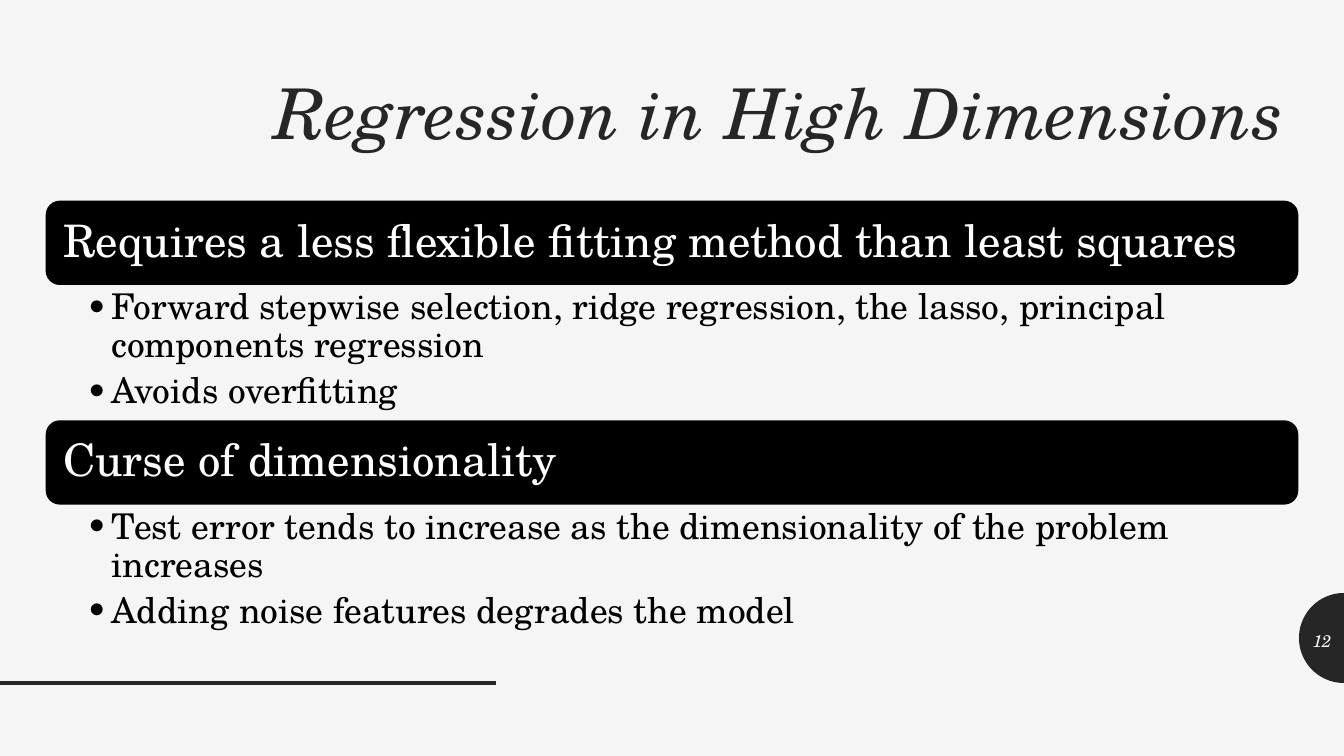
from dataclasses import dataclass
from math import cos, pi, sin

from lxml.etree import SubElement
from pptx import Presentation
from pptx.dml.color import RGBColor
from pptx.enum.shapes import MSO_CONNECTOR, MSO_SHAPE
from pptx.enum.text import MSO_ANCHOR, PP_ALIGN
from pptx.oxml.ns import qn
from pptx.util import Inches, Pt

SLIDE_WIDTH = 10
SLIDE_HEIGHT = SLIDE_WIDTH * 9 / 16


@dataclass(frozen=True)
class Theme:
    font: str = "TeX Gyre Schola"
    paper: str = "F5F5F5"
    ink: str = "262626"
    band: str = "000000"
    light: str = "FFFFFF"
    title_size: float = 37.5
    heading_size: float = 24
    bullet_size: float = 19
    number_size: float = 9
    rule_width: float = 2


@dataclass(frozen=True)
class Area:
    left: float
    top: float
    width: float
    height: float

    def lengths(self) -> tuple:
        return column(self.left), row(self.top), column(self.width), row(self.height)


@dataclass(frozen=True)
class Topic:
    heading: str
    bullets: tuple[str, ...]


THEME = Theme()
MARGIN, CONTENT_WIDTH = 3.4, 93.2
TOPICS_TOP, BAND_HEIGHT, BULLETS_HEIGHT = 26.55, 11.15, 17.9
TOPICS = (
    Topic(
        "Requires a less flexible fitting method than least squares",
        (
            "Forward stepwise selection, ridge regression, the lasso, "
            "principal components regression",
            "Avoids overfitting",
        ),
    ),
    Topic(
        "Curse of dimensionality",
        (
            "Test error tends to increase as the dimensionality of the problem increases",
            "Adding noise features degrades the model",
        ),
    ),
)


def column(share: float) -> int:
    return Inches(SLIDE_WIDTH * share / 100)


def row(share: float) -> int:
    return Inches(SLIDE_HEIGHT * share / 100)


def paint(fill, color: str) -> None:
    fill.solid()
    fill.fore_color.rgb = RGBColor.from_string(color)


def add_bullet(para) -> None:
    properties = para._p.get_or_add_pPr()
    properties.set("marL", str(Inches(0.19)))
    properties.set("indent", str(Inches(-0.19)))
    SubElement(properties, qn("a:buFont"), typeface=THEME.font)
    SubElement(properties, qn("a:buChar"), char="•")


def write(box, *lines: str, size: float, color: str, italic: bool = False,
          align=PP_ALIGN.LEFT, anchor=MSO_ANCHOR.TOP, insets=(0.1, 0.1, 0.1, 0.1),
          spacing: float = 0.9, after: float = 0, bulleted: bool = False,
          wrap: bool = True) -> None:
    frame = box.text_frame
    frame.word_wrap = wrap
    frame.vertical_anchor = anchor
    (frame.margin_left, frame.margin_top,
     frame.margin_right, frame.margin_bottom) = map(Inches, insets)
    for index, line in enumerate(lines):
        para = frame.add_paragraph() if index else frame.paragraphs[0]
        para.alignment = align
        para.line_spacing = spacing
        para.space_after = Pt(after)
        if bulleted:
            add_bullet(para)
        span = para.add_run()
        span.text = line
        span.font.name = THEME.font
        span.font.size = Pt(size)
        span.font.italic = italic
        span.font.color.rgb = RGBColor.from_string(color)


def add_text(page, area: Area, *lines: str, **style) -> None:
    write(page.shapes.add_textbox(*area.lengths()), *lines, **style)


def add_half_disc(page, center_row: float, radius: float) -> None:
    steps = 36
    middle, reach = row(center_row), column(radius)
    points = [
        (column(100) - round(reach * sin(pi * step / steps)),
         middle - round(reach * cos(pi * step / steps)))
        for step in range(steps + 1)
    ]
    builder = page.shapes.build_freeform(*points[0])
    builder.add_line_segments(points[1:], close=True)
    disc = builder.convert_to_shape()
    disc.shadow.inherit = False
    paint(disc.fill, THEME.ink)
    disc.line.fill.background()


def add_rule(page, length: float, level: float) -> None:
    rule = page.shapes.add_connector(
        MSO_CONNECTOR.STRAIGHT, 0, row(level), column(length), row(level))
    paint(rule.line.fill, THEME.ink)
    rule.line.width = Pt(THEME.rule_width)
    SubElement(rule._element.spPr, qn("a:effectLst"))


def add_topic(page, topic: Topic, top: float) -> None:
    area = Area(MARGIN, top, CONTENT_WIDTH, BAND_HEIGHT)
    band = page.shapes.add_shape(MSO_SHAPE.ROUNDED_RECTANGLE, *area.lengths())
    band.shadow.inherit = False
    paint(band.fill, THEME.band)
    band.line.fill.background()
    write(band, topic.heading, size=THEME.heading_size, color=THEME.light,
          anchor=MSO_ANCHOR.MIDDLE)
    add_text(page, Area(MARGIN, top + BAND_HEIGHT, CONTENT_WIDTH, BULLETS_HEIGHT),
             *topic.bullets, size=THEME.bullet_size, color=THEME.band,
             insets=(0.3, 0.03, 0.19, 0.03), after=4, bulleted=True)


def main() -> None:
    deck = Presentation()
    deck.slide_width, deck.slide_height = Inches(SLIDE_WIDTH), Inches(SLIDE_HEIGHT)
    page = deck.slides.add_slide(deck.slide_layouts[6])
    paint(page.background.fill, THEME.paper)
    add_half_disc(page, center_row=84.4, radius=3.35)
    add_rule(page, length=36.9, level=90.4)
    add_text(page, Area(MARGIN, 8.7, CONTENT_WIDTH, BAND_HEIGHT),
             "Regression in High Dimensions", size=THEME.title_size,
             color=THEME.ink, italic=True, align=PP_ALIGN.RIGHT)
    for index, topic in enumerate(TOPICS):
        add_topic(page, topic, TOPICS_TOP + index * (BAND_HEIGHT + BULLETS_HEIGHT))
    add_text(page, Area(96.7, 82.5, 3.4, 4.5), "12", size=THEME.number_size,
             color=THEME.light, italic=True, insets=(0.1, 0.05, 0.1, 0.05),
             spacing=1.0, wrap=False)
    deck.save("out.pptx")


if __name__ == "__main__":
    main()
